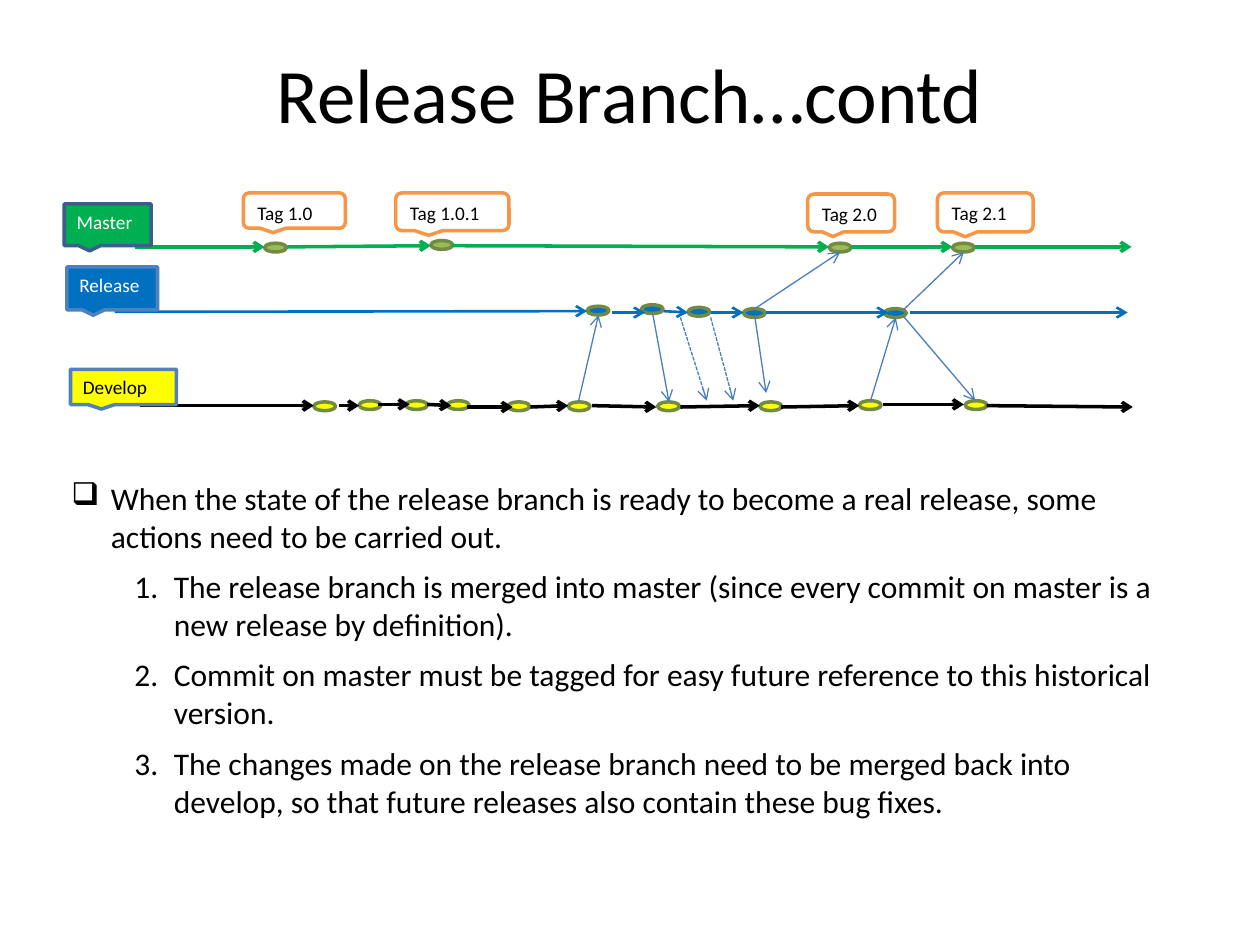
from lxml.etree import SubElement
from pptx import Presentation
from pptx.dml.color import RGBColor
from pptx.enum.dml import MSO_LINE
from pptx.enum.shapes import MSO_CONNECTOR, MSO_SHAPE
from pptx.enum.text import MSO_ANCHOR, PP_ALIGN
from pptx.oxml.ns import qn
from pptx.util import Pt


def paint(part, color):
    if hasattr(part, "solid"):
        part.solid()
        part.fore_color.rgb = RGBColor.from_string(color)
    else:
        part.color.rgb = RGBColor.from_string(color)


def arrow(ends, color, width, dash=False):
    link = slide.shapes.add_connector(MSO_CONNECTOR.STRAIGHT, *[Pt(n) for n in ends])
    paint(link.line, color)
    link.line.width = Pt(width)
    if dash:
        link.line.dash_style = MSO_LINE.SQUARE_DOT
    props = link.element.spPr
    SubElement(props.find(qn("a:ln")), qn("a:tailEnd"), type="arrow")
    SubElement(props, qn("a:effectLst"))


deck = Presentation()
deck.slide_width, deck.slide_height = Pt(720), Pt(540)
slide = deck.slides.add_slide(deck.slide_layouts[6])

title = slide.shapes.add_textbox(Pt(36), Pt(21.6), Pt(648), Pt(62.6)).text_frame
title.word_wrap = True
title.vertical_anchor = MSO_ANCHOR.MIDDLE
title.text = "Release Branch…contd"
title.paragraphs[0].alignment = PP_ALIGN.CENTER
font = title.paragraphs[0].runs[0].font
font.name, font.size = "Calibri", Pt(44)
paint(font, "000000")

steps = [
    "When the state of the release branch is ready to become a real release, some actions need to be carried out.",
    "The release branch is merged into master (since every commit on master is a new release by definition).",
    "Commit on master must be tagged for easy future reference to this historical version.",
    "The changes made on the release branch need to be merged back into develop, so that future releases also contain these bug fixes.",
]
body = slide.shapes.add_textbox(Pt(33.8), Pt(270), Pt(648), Pt(228)).text_frame
body.word_wrap = True
for i, step in enumerate(steps):
    para = body.add_paragraph() if i else body.paragraphs[0]
    para.text = step
    para.level = 1 if i else 0
    para.space_before, para.space_after = Pt(6), Pt(1.3)
    font = para.runs[0].font
    font.name, font.size = "Calibri", Pt(18)
    paint(font, "000000")
    props = para._p.get_or_add_pPr()
    props.set("marL", str(Pt(58.5 if i else 22.5)))
    props.set("indent", str(Pt(-22.5)))
    if i:
        SubElement(props, qn("a:buAutoNum"), type="arabicPeriod")
    else:
        SubElement(props, qn("a:buChar"), char="❑")

lanes = [
    ("9BBB59", "00B050", 2,
     [(151.2, 139), (246.2, 137.5), (473.8, 139), (544.3, 139)],
     [(77, 141.1, 151.2, 141.1), (164.2, 141.1, 246.2, 140.4),
      (258.5, 140.4, 473.8, 141.1), (486, 141.1, 544.3, 141.1),
      (557.3, 141.1, 646.6, 141.1)]),
    ("0070C0", "0070C0", 1.5,
     [(335.5, 175), (366.5, 174.2), (393.1, 175.7), (424.8, 176.4), (505.4, 176.4)],
     [(65.5, 178.2, 335.5, 177.8), (349.9, 178.6, 368.6, 178.6),
      (379.4, 177.8, 393.1, 178.6), (406.1, 178.6, 424.8, 178.6),
      (437.8, 178.6, 507.6, 178.6), (519.8, 178.6, 644.4, 178.6)]),
    ("FFFF00", "000000", 2,
     [(179.3, 229.7), (205.2, 229), (231.8, 229), (255.6, 229), (290.2, 229.7),
      (324.7, 229.7), (375.8, 229.7), (434.2, 229.7), (491, 229), (551.5, 229)],
     [(79.9, 231.8, 179.3, 231.8), (193.7, 231.8, 205.2, 231.8),
      (216, 231.1, 234, 231.1), (244.1, 231.1, 257.8, 231.8),
      (267.1, 232.6, 293, 232.6), (303.1, 232.6, 324.7, 231.8),
      (338.4, 231.8, 375.1, 232.6), (388.8, 232.6, 434.2, 231.8),
      (446.4, 232.6, 491, 231.8), (504.7, 231.1, 550.8, 231.1),
      (563.8, 231.8, 647.3, 232.6)]),
]
for fill, color, width, dots, links in lanes:
    for x, y in dots:
        dot = slide.shapes.add_shape(MSO_SHAPE.OVAL, Pt(x), Pt(y), Pt(12.5), Pt(5))
        dot.shadow.inherit = False
        paint(dot.fill, fill)
        paint(dot.line, "738A42")
        dot.line.width = Pt(2)
    for ends in links:
        arrow(ends, color, width)

merges = [
    (330.5, 229.7, 342, 180), (373, 179.3, 382.3, 229.7),
    (431.3, 180.7, 437.8, 224.6), (431.3, 176.4, 480.2, 144),
    (497.5, 229, 511.9, 181.4), (516.2, 177.1, 550.8, 144),
    (516.2, 180.7, 557.3, 229),
]
for ends in merges:
    arrow(ends, "4B7EBC", 0.75)
for ends in [(388.8, 181.4, 403.9, 229), (406.1, 181.4, 419, 229)]:
    arrow(ends, "4B7EBC", 0.75, True)

box = MSO_SHAPE.RECTANGULAR_CALLOUT
tag = MSO_SHAPE.ROUNDED_RECTANGULAR_CALLOUT
labels = [
    ("Master", box, 36.7, 116.6, 49.7, 23.8, "00B050", "3A5F8C", "FFFFFF"),
    ("Release", box, 38.2, 152.6, 51.8, 24.5, "0070C0", "4F81BD", "FFFFFF"),
    ("Develop", box, 40.3, 211, 60.5, 20.2, "FFFF00", "4F81BD", "000000"),
    ("Tag 1.0", tag, 139, 110.2, 58.3, 20.2, "FFFFFF", "F79646", "000000"),
    ("Tag 1.0.1", tag, 226.1, 110.2, 64.8, 21.6, "FFFFFF", "F79646", "000000"),
    ("Tag 2.0", tag, 461.5, 110.9, 49.7, 21.6, "FFFFFF", "F79646", "000000"),
    ("Tag 2.1", tag, 535.7, 110.2, 54.7, 22.3, "FFFFFF", "F79646", "000000"),
]
for text, kind, x, y, w, h, fill, edge, ink in labels:
    label = slide.shapes.add_shape(kind, Pt(x), Pt(y), Pt(w), Pt(h))
    label.shadow.inherit = False
    paint(label.fill, fill)
    paint(label.line, edge)
    label.line.width = Pt(2)
    frame = label.text_frame
    frame.word_wrap = True
    frame.vertical_anchor = MSO_ANCHOR.TOP
    frame.text = text
    frame.paragraphs[0].alignment = PP_ALIGN.LEFT
    font = frame.paragraphs[0].runs[0].font
    font.name, font.size = "Calibri", Pt(11)
    paint(font, ink)

deck.save("out.pptx")
